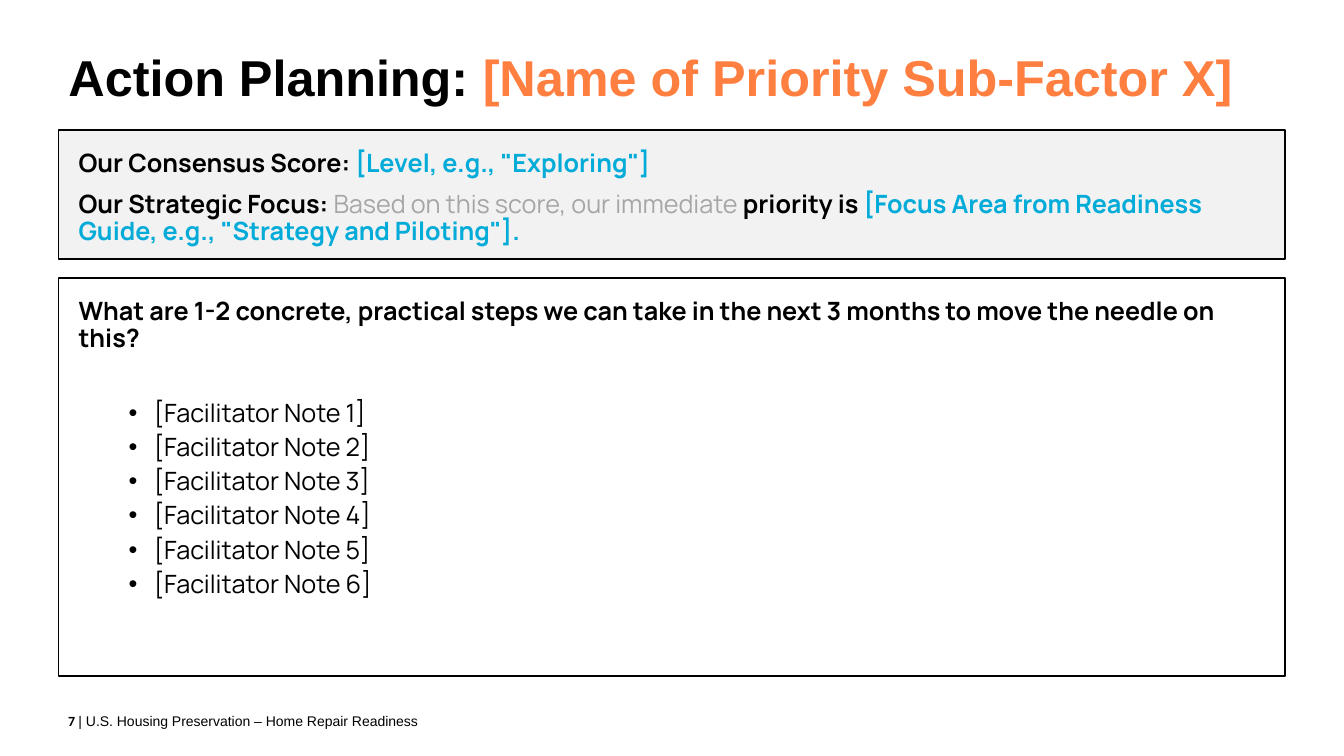
from lxml import etree
from pptx import Presentation
from pptx.dml.color import RGBColor
from pptx.enum.text import MSO_ANCHOR, MSO_AUTO_SIZE, PP_ALIGN
from pptx.oxml.ns import qn
from pptx.util import Cm, Pt

BLACK = RGBColor(0x00, 0x00, 0x00)
WHITE = RGBColor(0xFF, 0xFF, 0xFF)
PALE = RGBColor(0xF2, 0xF2, 0xF2)
GRAY = RGBColor(0xA6, 0xA6, 0xA6)
ORANGE = RGBColor(0xFF, 0x7F, 0x40)
CYAN = RGBColor(0x02, 0xAB, 0xD8)

LEFT = PP_ALIGN.LEFT
MIDDLE = MSO_ANCHOR.MIDDLE
TOP = MSO_ANCHOR.TOP
NO_FIT = MSO_AUTO_SIZE.NONE

MARGIN = Cm(1.47)
WIDTH = Cm(30.91)


def add_run(para, text, font="Manrope", size=18, color=BLACK, bold=True):
    run = para.add_run()
    run.text = text
    run.font.name = font
    run.font.size = Pt(size)
    run.font.bold = bold
    run.font.color.rgb = color


class Page:
    def __init__(self, deck):
        self.slide = deck.slides.add_slide(deck.slide_layouts[3])
        self.spacing = 0.9
        self.inset = Cm(0.51)

    def place(self, shape, top, width, height, anchor):
        shape.left, shape.top = MARGIN, top
        shape.width, shape.height = width, height
        frame = shape.text_frame
        frame.word_wrap = True
        frame.auto_size = NO_FIT
        frame.vertical_anchor = anchor
        return frame

    def title(self, runs):
        frame = self.place(self.slide.shapes.title, Cm(0.74), Cm(30.99), Cm(2.54), MIDDLE)
        para = frame.paragraphs[0]
        para.alignment = LEFT
        para.line_spacing = self.spacing
        for text, color in runs:
            add_run(para, text, font="Arial", size=36, color=color)

    def panel(self, index, top, height, fill):
        """Turn a body placeholder into a filled, outlined box."""
        shape = self.slide.placeholders[index]
        frame = self.place(shape, top, WIDTH, height, TOP)
        frame.margin_left = frame.margin_right = self.inset
        frame.margin_top = frame.margin_bottom = self.inset
        shape.fill.solid()
        shape.fill.fore_color.rgb = fill
        shape.line.color.rgb = BLACK
        shape.line.width = Pt(1)
        return frame

    def para(self, frame, runs, first=False, before=0, bullet=False):
        para = frame.paragraphs[0] if first else frame.add_paragraph()
        props = para._p.get_or_add_pPr()
        props.set("marL", str(Cm(1.9) if bullet else 0))
        props.set("indent", str(-Cm(0.64) if bullet else 0))
        if bullet:
            para.level = 1
            face = etree.SubElement(props, qn("a:buFont"))
            face.set("typeface", "Arial")
            mark = etree.SubElement(props, qn("a:buChar"))
            mark.set("char", "•")
        else:
            etree.SubElement(props, qn("a:buNone"))
        para.alignment = LEFT
        para.line_spacing = self.spacing
        para.space_before = Pt(before)
        for text, style in runs:
            add_run(para, text, **style)

    def footer(self, number, label):
        box = self.slide.shapes.add_textbox(MARGIN, Cm(17.65), Cm(9.7), Cm(1.02))
        frame = self.place(box, Cm(17.65), Cm(9.7), Cm(1.02), MIDDLE)
        para = frame.paragraphs[0]
        add_run(para, number, font="Calibri", size=10)
        add_run(para, label, font="Arial", size=10, bold=False)


def main():
    deck = Presentation()
    deck.slide_width, deck.slide_height = Cm(33.87), Cm(19.05)
    page = Page(deck)
    page.title([("Action Planning: ", BLACK), ("[Name of Priority Sub-Factor X]", ORANGE)])

    score = page.panel(1, Cm(3.28), Cm(3.25), PALE)
    page.para(score, [
        ("Our Consensus Score: ", {}),
        ('[Level, e.g., "Exploring"]', {"color": CYAN}),
    ], first=True)
    page.para(score, [
        ("Our Strategic Focus: ", {}),
        ("Based on this score, our immediate ", {"color": GRAY, "bold": False}),
        ("priority is ", {}),
        ('[Focus Area from Readiness Guide, e.g., "Strategy and Piloting"].', {"color": CYAN}),
    ], before=10)

    page.footer("7 ", "| U.S. Housing Preservation – Home Repair Readiness")

    steps = page.panel(2, Cm(7.01), Cm(10.03), WHITE)
    page.para(steps, [
        ("What are 1-2 concrete, practical steps we can take in the next 3 months "
         "to move the needle on this?", {}),
    ], first=True)
    for num in range(1, 7):
        page.para(steps, [(f"[Facilitator Note {num}]", {"bold": False})],
                  before=34 if num == 1 else 5, bullet=True)

    deck.save("out.pptx")


if __name__ == "__main__":
    main()
